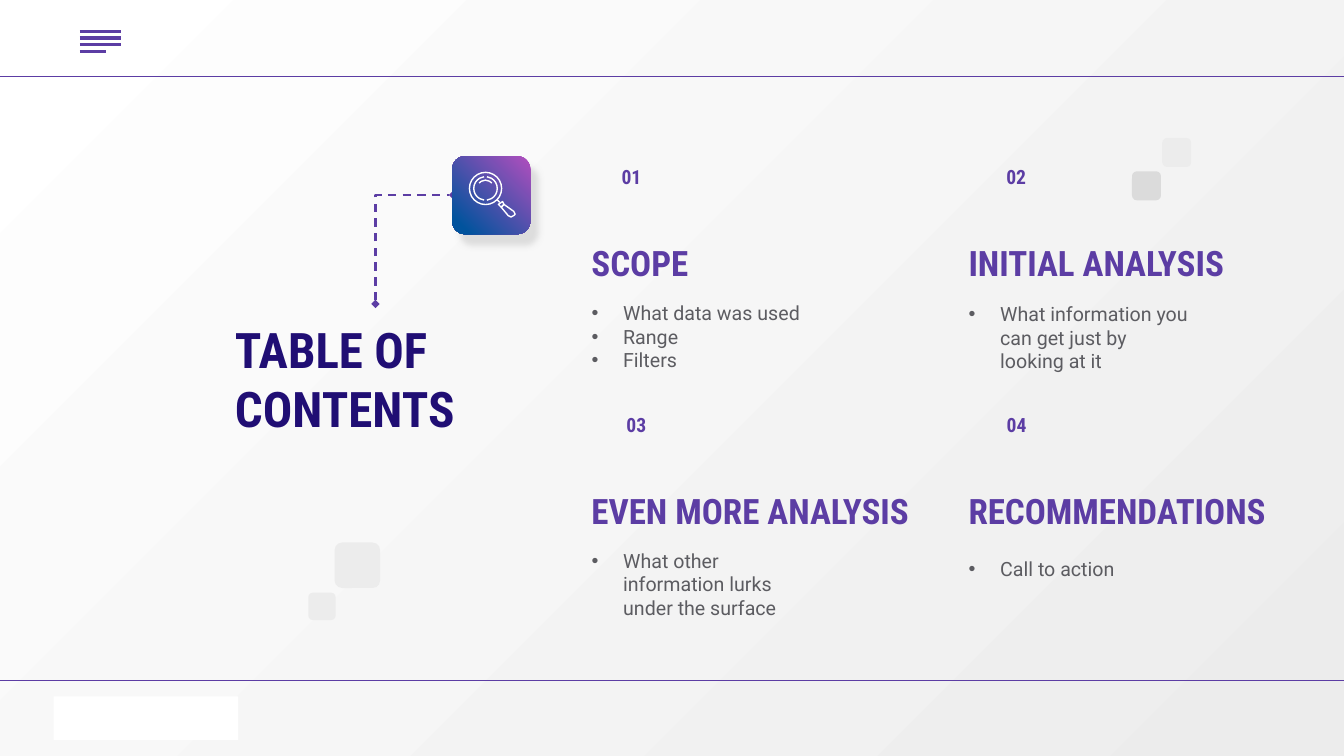
from lxml.etree import SubElement
from pptx import Presentation
from pptx.dml.color import RGBColor
from pptx.enum.dml import MSO_LINE
from pptx.enum.shapes import MSO_CONNECTOR, MSO_SHAPE
from pptx.enum.text import MSO_ANCHOR, MSO_AUTO_SIZE, PP_ALIGN
from pptx.oxml.ns import qn
from pptx.util import Pt

STRAIGHT, ELBOW = MSO_CONNECTOR.STRAIGHT, MSO_CONNECTOR.ELBOW
RECT, ROUNDED = MSO_SHAPE.RECTANGLE, MSO_SHAPE.ROUNDED_RECTANGLE
OVAL, ARC = MSO_SHAPE.OVAL, MSO_SHAPE.ARC
TOP, MIDDLE = MSO_ANCHOR.TOP, MSO_ANCHOR.MIDDLE
LEFT, CENTER = PP_ALIGN.LEFT, PP_ALIGN.CENTER
DASH, NO_AUTOFIT = MSO_LINE.DASH, MSO_AUTO_SIZE.NONE
COMPARISON_LAYOUT = 4


def rgb(code):
    return RGBColor.from_string(code)


class ContentsSlide:
    PURPLE, NAVY, GREY, WHITE = "5C3DA4", "200E74", "5C5C61", "FFFFFF"
    HEAD_FONT, BODY_FONT = "Roboto Condensed", "Roboto"

    def __init__(self, slide):
        self.slide = slide
        self.shapes = slide.shapes

    def gradient(self, fill, stops, angle):
        fill.gradient()
        fill.gradient_angle = angle
        for stop, (position, color) in zip(fill.gradient_stops, stops):
            stop.position = position
            stop.color.rgb = rgb(color)

    def place(self, shape, left, top, width, height):
        shape.left, shape.top = Pt(left), Pt(top)
        shape.width, shape.height = Pt(width), Pt(height)

    def set_text(self, shape, lines, size, font, color, bold=True,
                 align=LEFT, anchor=MIDDLE, bullets=False):
        frame = shape.text_frame
        frame.word_wrap = True
        frame.auto_size = NO_AUTOFIT
        frame.vertical_anchor = anchor
        frame.margin_left = frame.margin_right = Pt(7.2)
        frame.margin_top = frame.margin_bottom = Pt(3.6)
        for index, line in enumerate(lines):
            paragraph = frame.add_paragraph() if index else frame.paragraphs[0]
            paragraph.alignment = align
            paragraph.space_before = Pt(0)
            if bullets:
                self.bullet(paragraph, color)
            run = paragraph.add_run()
            run.text = line
            run.font.size, run.font.name, run.font.bold = Pt(size), font, bold
            run.font.color.rgb = rgb(color)

    def bullet(self, paragraph, color):
        props = paragraph._p.get_or_add_pPr()
        props.set("marL", str(Pt(22.5)))
        props.set("indent", str(-Pt(22.5)))
        SubElement(SubElement(props, qn("a:buClr")), qn("a:srgbClr"), val=color)
        SubElement(props, qn("a:buFont"), typeface="Arial")
        SubElement(props, qn("a:buChar"), char="•")

    def title(self, text, *box):
        title = self.shapes.title
        self.place(title, *box)
        self.set_text(title, [text], 35, self.HEAD_FONT, self.NAVY)

    def bullet_list(self, idx, items, *box):
        body = self.slide.placeholders[idx]
        self.place(body, *box)
        self.set_text(body, items, 14, self.BODY_FONT, self.GREY,
                      bold=False, bullets=True)

    def label(self, text, size, box, align=LEFT, anchor=MIDDLE):
        label = self.shapes.add_textbox(*map(Pt, box))
        self.set_text(label, [text], size, self.HEAD_FONT, self.PURPLE,
                      align=align, anchor=anchor)

    def line(self, start, end, width, color=PURPLE, kind=STRAIGHT):
        line = self.shapes.add_connector(kind, *map(Pt, (*start, *end)))
        line.line.color.rgb = rgb(color)
        line.line.width = Pt(width)
        SubElement(line._element.spPr, qn("a:effectLst"))
        return line

    def dashed_corner(self, left, top, width, height):
        """Corner that runs up, then right; the box is given before its turn."""
        corner = self.line((left, top), (left + width, top + height), 1.5, kind=ELBOW)
        corner.line.dash_style = DASH
        props = corner._element.spPr
        props.find(qn("a:xfrm")).set("rot", str(270 * 60000))
        props.find(qn("a:prstGeom")).set("prst", "bentConnector2")
        for end in ("a:headEnd", "a:tailEnd"):
            SubElement(props.find(qn("a:ln")), qn(end), type="diamond")

    def block(self, kind, left, top, width, height, color):
        block = self.shapes.add_shape(kind, *map(Pt, (left, top, width, height)))
        block.shadow.inherit = False
        block.line.fill.background()
        block.fill.solid()
        block.fill.fore_color.rgb = rgb(color)
        return block

    def outlined(self, shape):
        shape.shadow.inherit = False
        shape.fill.background()
        shape.line.color.rgb = rgb(self.WHITE)
        shape.line.width = Pt(1)

    def ring(self, center, radius, angles=None):
        x, y = center
        ring = self.shapes.add_shape(ARC if angles else OVAL, Pt(x - radius),
                                     Pt(y - radius), Pt(2 * radius), Pt(2 * radius))
        for index, degrees in enumerate(angles or ()):
            ring.adjustments[index] = degrees * 0.6
        self.outlined(ring)

    def outline(self, points):
        builder = self.shapes.build_freeform(*points[0], scale=Pt(1))
        builder.add_line_segments(points[1:], close=True)
        self.outlined(builder.convert_to_shape())

    def drop_shadow(self, shape, color, alpha, blur, distance, angle):
        effects = shape._element.spPr.find(qn("a:effectLst"))
        shadow = SubElement(effects, qn("a:outerShdw"), blurRad=str(Pt(blur)),
                            dist=str(Pt(distance)), dir=str(angle * 60000),
                            algn="bl", rotWithShape="0")
        tint = SubElement(shadow, qn("a:srgbClr"), val=color)
        SubElement(tint, qn("a:alpha"), val=str(alpha * 1000))


def main():
    deck = Presentation()
    deck.slide_width, deck.slide_height = Pt(960), Pt(540)
    page = ContentsSlide(deck.slides.add_slide(deck.slide_layouts[COMPARISON_LAYOUT]))

    # Background, rules and menu mark
    page.gradient(page.slide.background.fill, [(0, "FFFFFF"), (1, "ECECEC")], 315)
    for rule_y in (54.7, 486):
        page.line((0, rule_y), (960, rule_y), 0.75)
    for row, bar_end in enumerate((86.5, 86.5, 86.5, 75.6)):
        bar_y = 22.3 + 4.8 * row
        page.line((57, bar_y), (bar_end, bar_y), 2.25)

    # Title
    page.title("TABLE OF CONTENTS", 160.6, 216.7, 214.6, 106.6)

    # Four sections: number, heading, heading width, number width, list height, items
    sections = [
        ("01", "SCOPE", 144, 57, 59.8, ["What data was used", "Range", "Filters"]),
        ("02", "INITIAL ANALYSIS", 214.6, 65, 61.2,
         ["What information you can get just by looking at it"]),
        ("03", "EVEN MORE ANALYSIS", 260, 64, 59.8,
         ["What other information lurks under the surface"]),
        ("04", "RECOMMENDATIONS", 234, 65.5, 38.2, ["Call to action"]),
    ]
    for index, (number, heading, heading_w, number_w, list_h, items) in enumerate(sections):
        row, column = divmod(index, 2)
        left = 415.4 + 269.3 * column
        drop = 177 * row
        number_left = 422.6 + 270.8 * column
        page.label(number, 14, (number_left, 114.5 + drop, number_w, 51), CENTER, TOP)
        page.label(heading, 25, (left, 166.3 + drop, heading_w, 42))
        page.bullet_list(index + 1, items, left, 210.3 + drop, 172.8, list_h)

    # Dashed link and icon tile
    page.dashed_corner(257, 150.5, 77.8, 55.4)
    tile = page.block(ROUNDED, 323, 111.5, 55.8, 55.8, page.WHITE)
    page.gradient(tile.fill, [(0, "B24EBE"), (0.89, "01539D")], 225)
    page.drop_shadow(tile, "CCCCCC", 60, 4.5, 9.8, 55)

    # Magnifying glass
    lens = (346.8, 134.6)
    page.ring(lens, 11.5)
    for radius, angles in ((8.4, (277, 83)), (8.4, (97, 263)), (5.9, (220, 320))):
        page.ring(lens, radius, angles)
    page.line((355.1, 142.7), (357, 144.6), 1, page.WHITE)
    page.outline([(358.6, 143.7), (360.4, 145.5), (357.9, 148), (356.1, 146.2)])
    page.outline([(360.4, 145.5), (366.8, 150.8), (367.8, 152.6), (366.8, 154.4),
                  (365, 155.4), (363.2, 154.4), (357.9, 148)])

    # Decorative squares and footer patch
    for left, top, side, color in ((808.6, 122.4, 20.7, "DBDBDB"),
                                   (830.2, 98.6, 20.7, "ECECEC"),
                                   (239, 387.5, 32.5, "ECECEC"),
                                   (220.2, 423.3, 19.6, "ECECEC")):
        page.block(ROUNDED, left, top, side, side, color)
    page.block(RECT, 38.3, 497.5, 131.8, 31, page.WHITE)

    deck.save("out.pptx")


if __name__ == "__main__":
    main()
